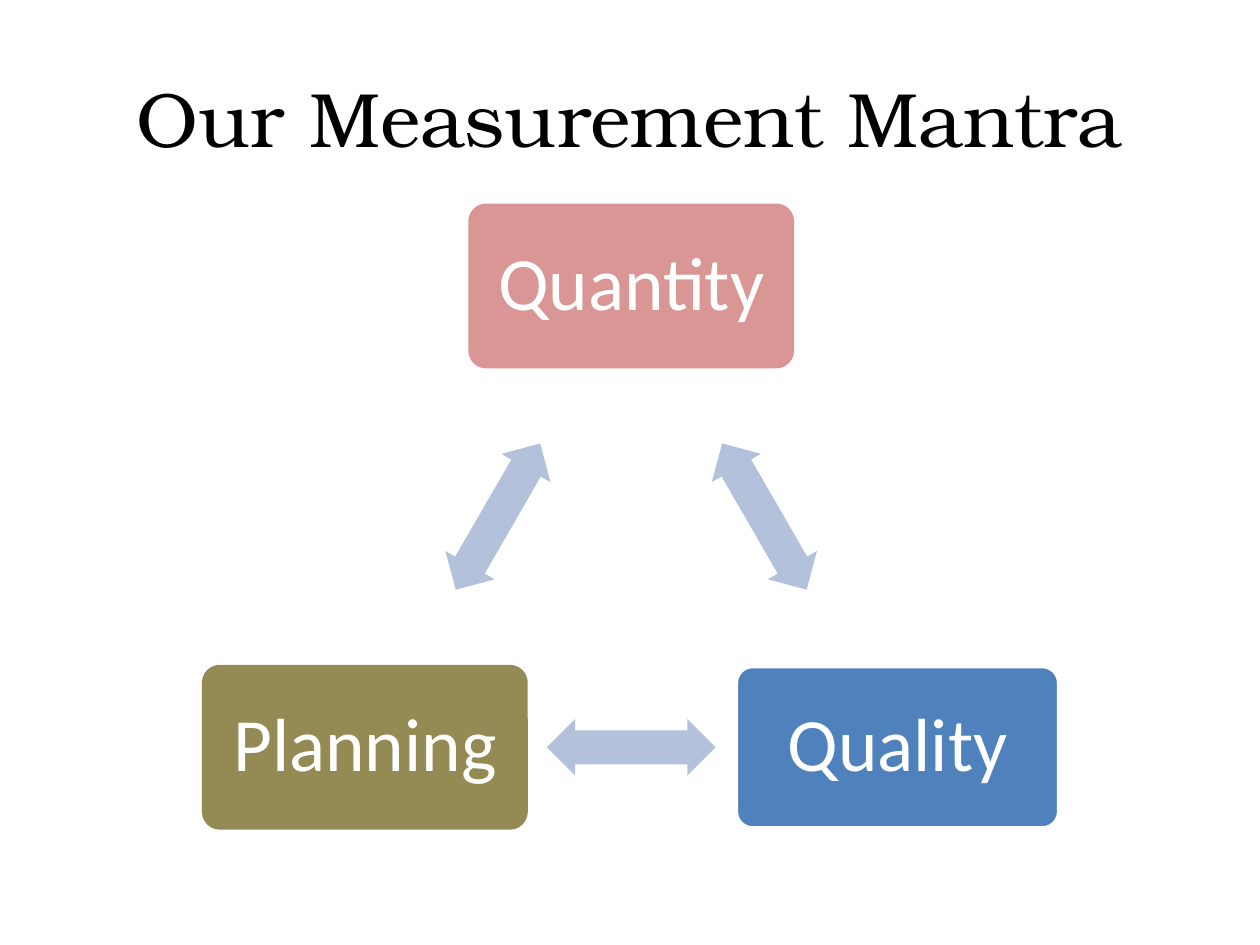
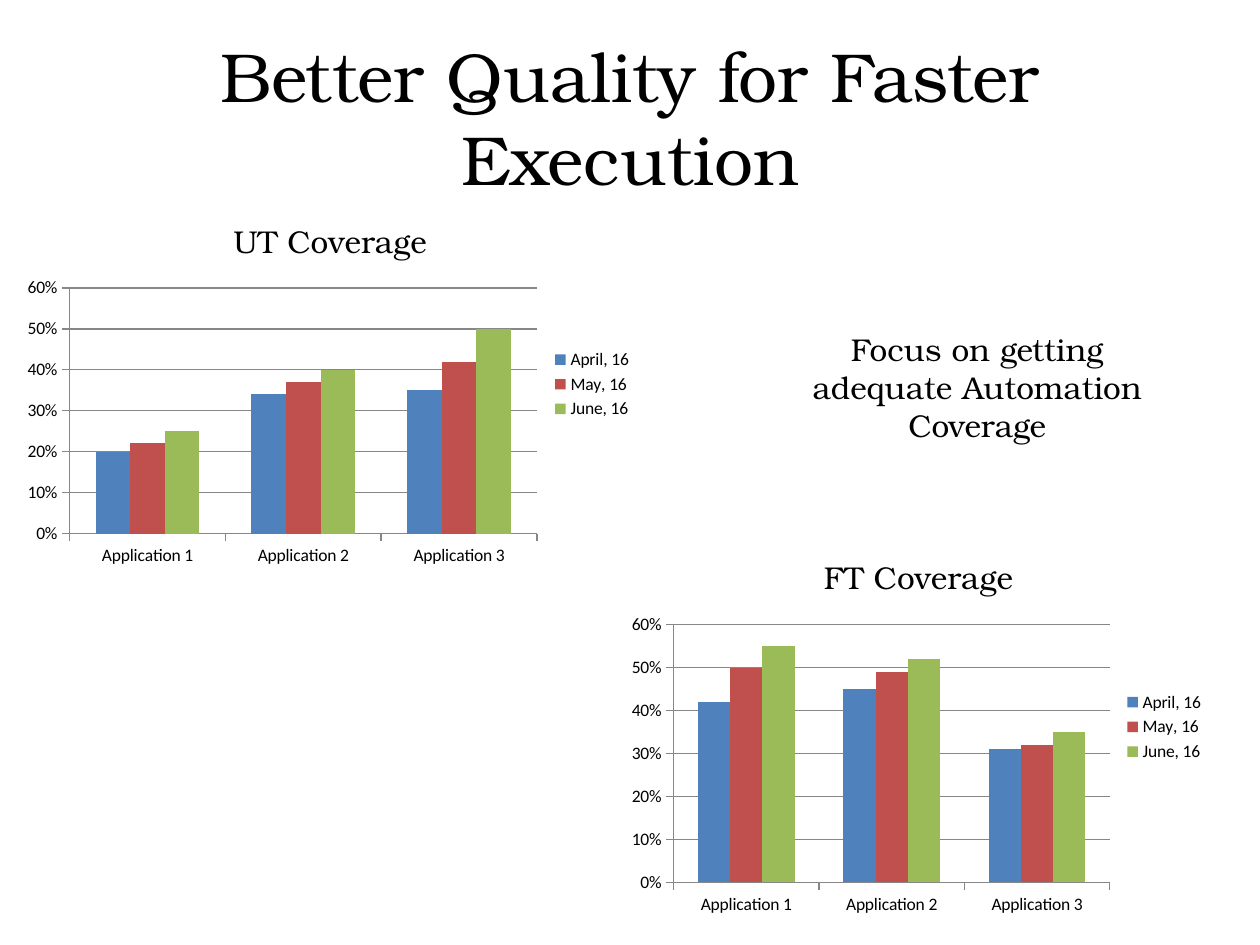
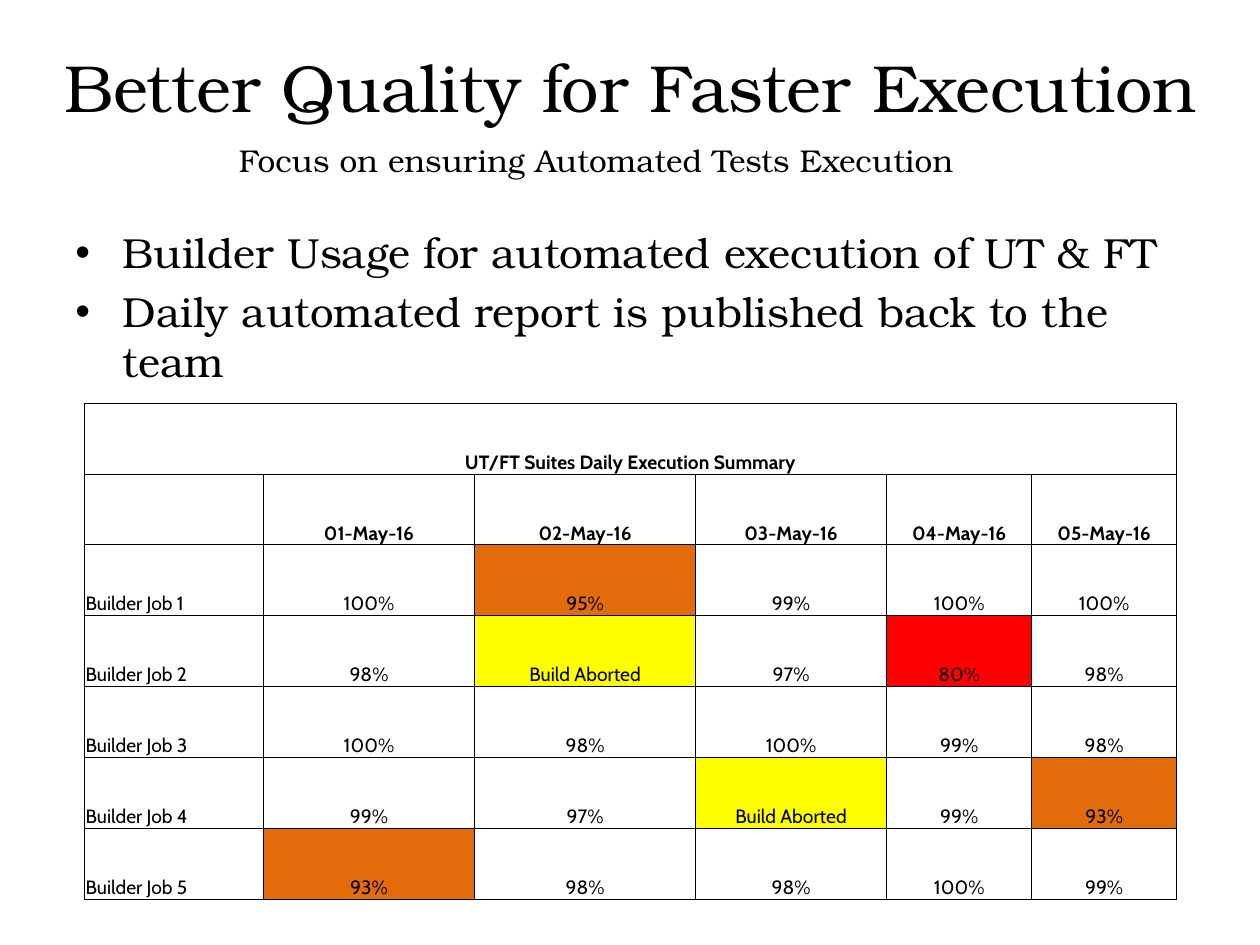
from math import cos, radians, sin

from lxml.etree import SubElement
from pptx import Presentation
from pptx.chart.data import CategoryChartData
from pptx.dml.color import RGBColor
from pptx.enum.chart import XL_CHART_TYPE, XL_LEGEND_POSITION, XL_TICK_MARK
from pptx.enum.shapes import MSO_SHAPE
from pptx.enum.text import MSO_ANCHOR, MSO_AUTO_SIZE, PP_ALIGN
from pptx.oxml import parse_xml
from pptx.oxml.ns import nsdecls, qn
from pptx.util import Pt

BLACK = RGBColor(0x00, 0x00, 0x00)
WHITE = RGBColor(0xFF, 0xFF, 0xFF)
BLUE = RGBColor(0x4F, 0x81, 0xBD)
CRIMSON = RGBColor(0xC0, 0x50, 0x4D)
GREEN = RGBColor(0x9B, 0xBB, 0x59)
PINK = RGBColor(0xD9, 0x96, 0x94)
OLIVE = RGBColor(0x94, 0x8A, 0x54)
PALE = RGBColor(0xB3, 0xC1, 0xDB)
GRAY = RGBColor(0x87, 0x87, 0x87)
ORANGE = RGBColor(0xE2, 0x6B, 0x0A)
YELLOW = RGBColor(0xFF, 0xFF, 0x00)
RED = RGBColor(0xFF, 0x00, 0x00)

SERIF, SANS, CELL = "TeX Gyre Bonum", "Calibri", "Cabin"
TITLE = (36, 21.6, 648, 90)

# Measured values
APPS = ["Application 1", "Application 2", "Application 3"]
MONTHS = [("April, 16", BLUE), ("May, 16", CRIMSON), ("June, 16", GREEN)]
UNIT = [(0.2, 0.34, 0.35), (0.22, 0.37, 0.42), (0.25, 0.4, 0.5)]
FUNC = [(0.42, 0.45, 0.31), (0.5, 0.49, 0.32), (0.55, 0.52, 0.35)]
ABORT = "Build Aborted"
DAYS = [f"0{day}-May-16" for day in range(1, 6)]
JOBS = [
    ["100%", "95%", "99%", "100%", "100%"],
    ["98%", ABORT, "97%", "80%", "98%"],
    ["100%", "98%", "100%", "99%", "98%"],
    ["99%", "97%", ABORT, "99%", "93%"],
    ["93%", "98%", "98%", "100%", "99%"],
]
WIDTHS = [102.2, 121, 126, 109.4, 82.8, 82.8]


def points(values):
    return [Pt(value) for value in values]


def style(font, size, name=SERIF, color=BLACK, bold=False):
    font.size, font.name, font.bold = Pt(size), name, bold
    font.color.rgb = color


def write(slide, box, lines, size, anchor=MSO_ANCHOR.TOP, align=PP_ALIGN.CENTER):
    frame = slide.shapes.add_textbox(*points(box)).text_frame
    frame.word_wrap = True
    frame.vertical_anchor = anchor
    frame.text = "\n".join(lines)
    for para in frame.paragraphs:
        para.alignment = align
        style(para.runs[0].font, size)
    return frame


def title(slide, text, size, box=TITLE):
    write(slide, box, [text], size, MSO_ANCHOR.MIDDLE)


def note(slide, box, text):
    frame = write(slide, box, [text], 18)
    frame.auto_size = MSO_AUTO_SIZE.SHAPE_TO_FIT_TEXT


def bullets(slide, box, lines):
    frame = write(slide, box, lines, 24, align=PP_ALIGN.LEFT)
    for para in frame.paragraphs:
        para.space_before = Pt(4.8)
        props = para._p.get_or_add_pPr()
        props.set("marL", str(Pt(27)))
        props.set("indent", str(Pt(-27)))
        SubElement(props, qn("a:buFont")).set("typeface", "Arial")
        SubElement(props, qn("a:buChar")).set("char", "•")


def solid(slide, kind, mid, size, color):
    (x, y), (wide, high) = mid, size
    box = (x - wide / 2, y - high / 2, wide, high)
    shape = slide.shapes.add_shape(kind, *points(box))
    shape.shadow.inherit = False
    shape.fill.solid()
    shape.fill.fore_color.rgb = color
    shape.line.fill.background()
    return shape


def ring(slide, box, nodes):
    """Nodes at the corners of a triangle, an arrow along each side."""
    left, top, wide, high = box
    size = (184.2, 92.2)
    radius = (high - size[1]) / 1.5
    hub = (left + wide / 2, top + size[1] / 2 + radius)

    def spot(angle, reach):
        turn = radians(angle)
        return hub[0] + reach * cos(turn), hub[1] + reach * sin(turn)

    for i, (text, color, edge) in enumerate(nodes):
        angle = 120 * i - 90
        # Node
        node = solid(slide, MSO_SHAPE.ROUNDED_RECTANGLE, spot(angle, radius), size, color)
        node.adjustments[0] = 0.1
        node.line.color.rgb = edge
        node.line.width = Pt(2)
        frame = node.text_frame
        frame.word_wrap = True
        frame.vertical_anchor = MSO_ANCHOR.MIDDLE
        frame.margin_left = frame.margin_right = Pt(13)
        frame.text = text
        para = frame.paragraphs[0]
        para.alignment = PP_ALIGN.CENTER
        para.line_spacing = 0.9
        style(para.runs[0].font, 43, SANS, WHITE)
        # Arrow to the next node
        mid = spot(angle + 60, radius / 2)
        arrow = solid(slide, MSO_SHAPE.LEFT_RIGHT_ARROW, mid, (96.5, 32.4), PALE)
        arrow.adjustments[0], arrow.adjustments[1] = 0.6, 0.5
        arrow.rotation = 60 + 120 * i


def coverage(slide, box, name, rows):
    data = CategoryChartData(number_format="0%")
    data.categories = APPS
    for (month, _), row in zip(MONTHS, rows):
        data.add_series(month, row)
    kind = XL_CHART_TYPE.COLUMN_CLUSTERED
    chart = slide.shapes.add_chart(kind, *points(box), data).chart
    style(chart.font, 10, SANS)
    # Title and legend
    chart.has_title = True
    head = chart.chart_title.text_frame
    head.text = name
    style(head.paragraphs[0].runs[0].font, 18)
    chart.has_legend = True
    chart.legend.position = XL_LEGEND_POSITION.RIGHT
    chart.legend.include_in_layout = False
    # Axes
    axis = chart.value_axis
    axis.minimum_scale, axis.maximum_scale, axis.major_unit = 0, 0.6, 0.1
    axis.tick_labels.number_format = "0%"
    axis.tick_labels.number_format_is_linked = False
    axis.major_gridlines.format.line.color.rgb = GRAY
    for side in (axis, chart.category_axis):
        side.major_tick_mark = XL_TICK_MARK.OUTSIDE
        side.format.line.color.rgb = GRAY
    # Columns
    plot = chart.plots[0]
    plot.gap_width = 150
    plot.vary_by_categories = False
    for series, (_, color) in zip(plot.series, MONTHS):
        series.format.fill.solid()
        series.format.fill.fore_color.rgb = color


def grade(text):
    """Fill for a result that needs attention."""
    if text == ABORT:
        return YELLOW
    if not text.endswith("%"):
        return None
    score = int(text.rstrip("%"))
    return RED if score < 90 else ORANGE if score < 97 else None


def border(cell):
    props = cell._tc.get_or_add_tcPr()
    for i, side in enumerate("LRTB"):
        props.insert(i, parse_xml(
            f'<a:ln{side} {nsdecls("a")} w="{Pt(0.5)}"><a:solidFill>'
            f'<a:srgbClr val="{BLACK}"/></a:solidFill></a:ln{side}>'))


def summary(slide, box):
    rows = [["UT/FT Suites Daily Execution Summary"] + [""] * 5, [""] + DAYS]
    rows += [[f"Builder Job {i}"] + job for i, job in enumerate(JOBS, 1)]
    table = slide.shapes.add_table(len(rows), len(WIDTHS), *points(box)).table
    table.first_row = table.horz_banding = False
    for column, wide in zip(table.columns, WIDTHS):
        column.width = Pt(wide)
    for r, row in enumerate(rows):
        table.rows[r].height = Pt(box[3] / len(rows))
        for c, text in enumerate(row):
            cell = table.cell(r, c)
            cell.vertical_anchor = MSO_ANCHOR.BOTTOM
            cell.margin_left = cell.margin_right = cell.margin_top = Pt(0.7)
            cell.margin_bottom = Pt(0)
            color = grade(text)
            if color is None:
                cell.fill.background()
            else:
                cell.fill.solid()
                cell.fill.fore_color.rgb = color
            border(cell)
            if text:
                cell.text = text
                para = cell.text_frame.paragraphs[0]
                label = c == 0 and r > 1
                para.alignment = PP_ALIGN.LEFT if label else PP_ALIGN.CENTER
                style(para.runs[0].font, 11, CELL, bold=r < 2)
    table.cell(0, 0).merge(table.cell(0, len(WIDTHS) - 1))


def mantra(slide):
    title(slide, "Our Measurement Mantra", 44)
    ring(slide, (115.9, 117.3, 489.6, 355.8), [
        ("Quantity", PINK, PINK),
        ("Quality", BLUE, WHITE),
        ("Planning", OLIVE, OLIVE),
    ])


def quality(slide):
    title(slide, "Better Quality for Faster Execution", 39.6)
    coverage(slide, (354.2, 303.8, 341.3, 223.2), "FT Coverage", FUNC)
    coverage(slide, (8.6, 111.6, 360, 216), "UT Coverage", UNIT)
    note(slide, (439.2, 185, 238.3, 72.7),
         "Focus on getting adequate Automation Coverage")


def tests(slide):
    title(slide, "Better Quality for Faster Execution", 38, (20.2, 4.3, 680.4, 90))
    bullets(slide, (36, 126, 648, 356.4), [
        "Builder Usage for automated execution of UT & FT",
        "Daily automated report is published back to the team",
    ])
    summary(slide, (48.2, 230.4, 624.2, 283.5))
    note(slide, (110.9, 77, 459.4, 28.8),
         "Focus on ensuring Automated Tests Execution")


def main():
    deck = Presentation()
    deck.slide_width, deck.slide_height = Pt(720), Pt(540)
    for build in (mantra, quality, tests):
        build(deck.slides.add_slide(deck.slide_layouts[6]))
    deck.save("out.pptx")


if __name__ == "__main__":
    main()
